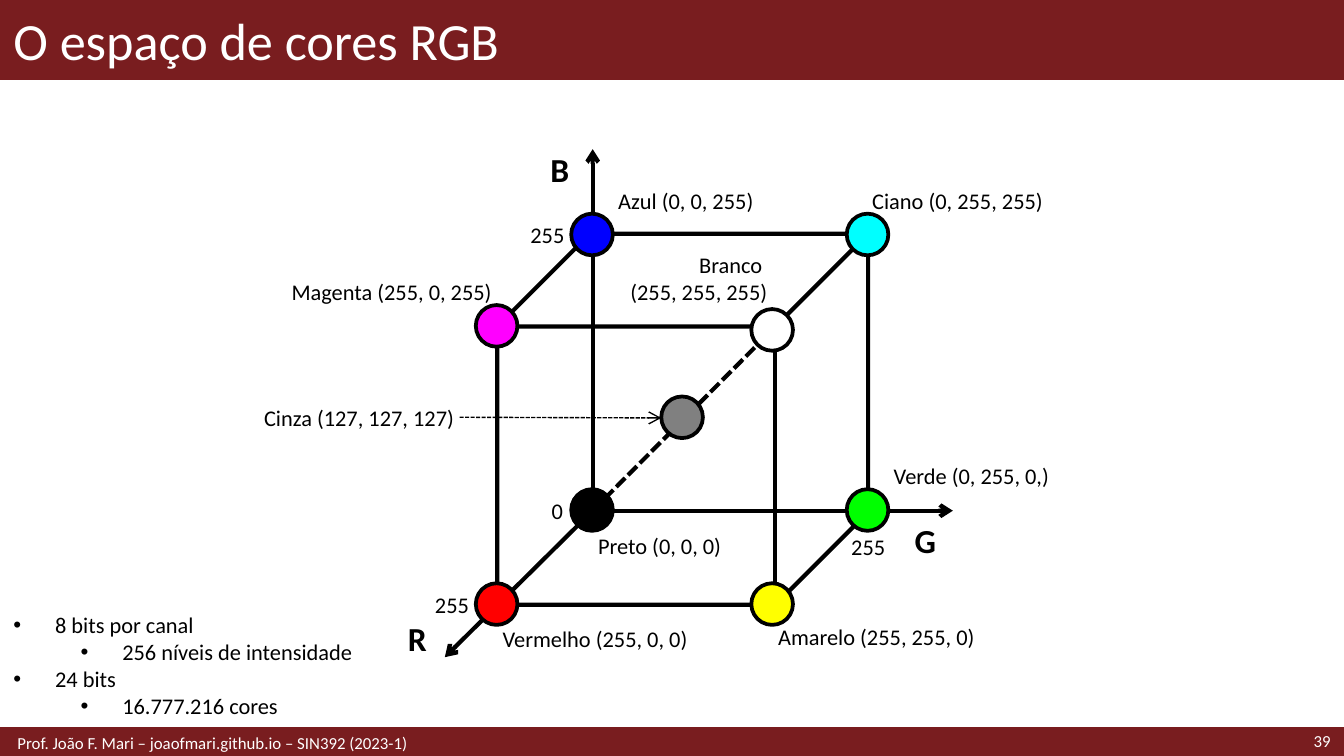
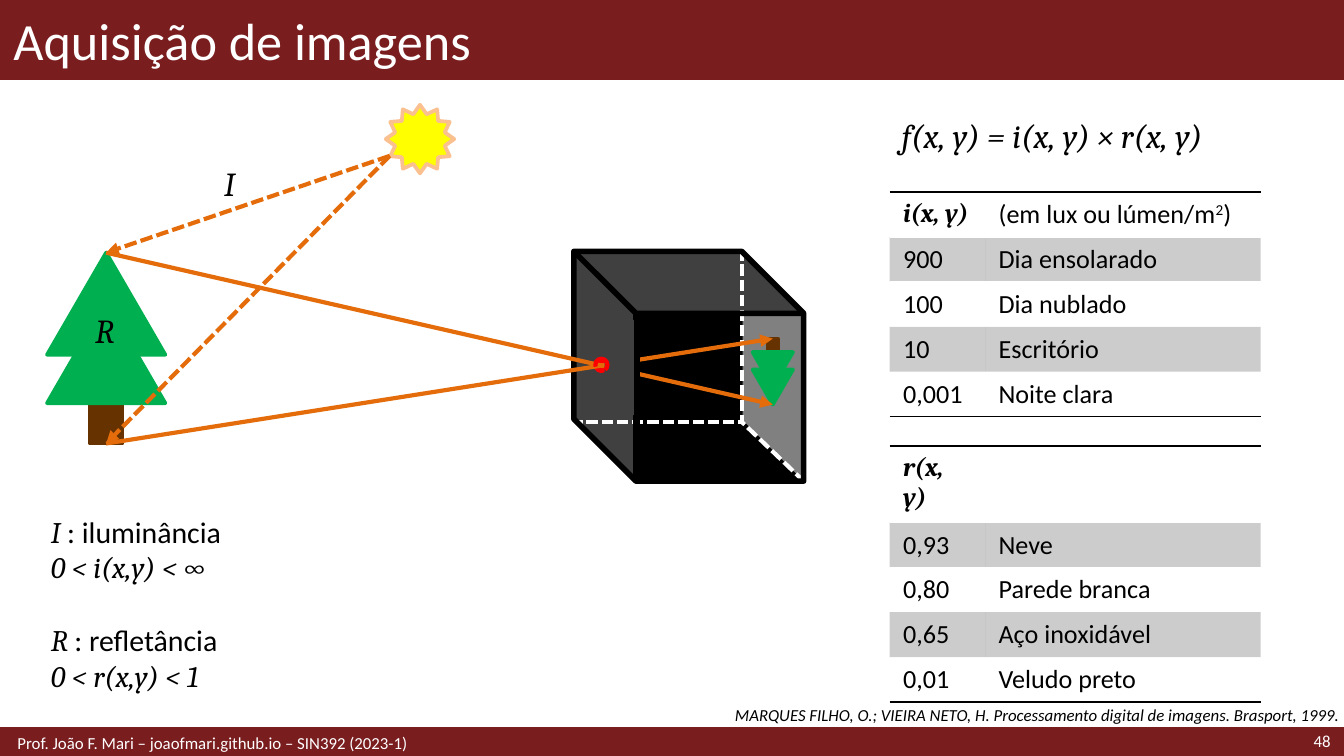
import dataclasses
import typing

import pptx
import pptx.dml.color
import pptx.enum.dml
import pptx.enum.shapes
import pptx.enum.text
import pptx.oxml.ns
import pptx.util
from lxml import etree

Inches, Pt = pptx.util.Inches, pptx.util.Pt
qn = pptx.oxml.ns.qn
SHAPE = pptx.enum.shapes.MSO_SHAPE
ALIGN = pptx.enum.text.PP_ALIGN
ANCHOR = pptx.enum.text.MSO_ANCHOR
AUTO_SIZE = pptx.enum.text.MSO_AUTO_SIZE

# Shared look
WINE, WHITE, BLACK = "791D1F", "FFFFFF", "000000"
ORANGE, GREEN, BROWN, DARK, RED = "E46C0A", "00B050", "663300", "404040", "FF0000"
BODY_FONT, MATH_FONT = "Calibri", "Cambria"
FOOTER = "Prof. João F. Mari – joaofmari.github.io – SIN392 (2023-1)"
NO_STYLE = "{2D5ABB26-0587-4C30-8999-92F81FD0307C}"
DEFAULT_INSETS, TIGHT = (0.1, 0.05, 0.1, 0.05), (0.04, 0, 0.04, 0)


class Run(typing.NamedTuple):
    text: str
    font: str = BODY_FONT
    italic: bool = False
    bold: bool = False
    baseline: int = 0


@dataclasses.dataclass
class Line:
    runs: list
    gap: float = 0


class Label(typing.NamedTuple):
    text: str
    left: float
    top: float
    width: float
    anchor: typing.Any = ANCHOR.BOTTOM
    align: typing.Any = ALIGN.LEFT


class Vertex(typing.NamedTuple):
    colour: str
    left: float
    top: float


def math(text: str, bold: bool = False) -> Run:
    return Run(text, MATH_FONT, True, bold)


def rgb(colour: str):
    return pptx.dml.color.RGBColor.from_string(colour)


# Text
def write(frame, lines: list, *, size: float, colour: str = BLACK, align=ALIGN.LEFT,
          anchor=ANCHOR.TOP, insets=DEFAULT_INSETS, wrap: bool = True) -> None:
    frame.word_wrap = wrap
    frame.auto_size = AUTO_SIZE.NONE if wrap else AUTO_SIZE.SHAPE_TO_FIT_TEXT
    frame.vertical_anchor = anchor
    (frame.margin_left, frame.margin_top,
     frame.margin_right, frame.margin_bottom) = map(Inches, insets)
    for index, line in enumerate(lines):
        paragraph = frame.paragraphs[0] if index == 0 else frame.add_paragraph()
        fill_paragraph(paragraph, line, size=size, colour=colour, align=align)


def fill_paragraph(paragraph, line: Line, *, size: float, colour: str = BLACK,
                   align=ALIGN.LEFT) -> None:
    paragraph.alignment = align
    paragraph.space_before = Pt(line.gap)
    paragraph.font.size = Pt(size)
    for part in line.runs:
        for index, text in enumerate(part.text.split("\n")):
            if index:
                paragraph.add_line_break()
            run = paragraph.add_run()
            run.text = text
            run.font.name, run.font.size = part.font, Pt(size)
            run.font.italic, run.font.bold = part.italic, part.bold
            run.font.color.rgb = rgb(colour)
            if part.baseline:
                run.font._element.set("baseline", str(part.baseline * 1000))


def add_text(slide, lines, left: float, top: float, width: float, height: float, **form):
    box = slide.shapes.add_textbox(*map(Inches, (left, top, width, height)))
    if isinstance(lines, str):
        lines = [Line([Run(lines)])]
    write(box.text_frame, lines, **form)
    return box


# Shapes and lines
def add_shape(slide, kind, left: float, top: float, width: float, height: float, *,
              fill: str = "", line: str = "", weight: float = 2, dashed: bool = False,
              rotation: float = 0, flip: bool = False, adjust: tuple = ()):
    shape = slide.shapes.add_shape(kind, *map(Inches, (left, top, width, height)))
    shape.shadow.inherit = False
    shape.rotation = rotation
    for index, value in enumerate(adjust):
        shape.adjustments[index] = value
    if flip:
        shape._element.spPr.find(qn("a:xfrm")).set("flipH", "1")
    if fill:
        shape.fill.solid()
        shape.fill.fore_color.rgb = rgb(fill)
    else:
        shape.fill.background()
    if line:
        style_line(shape.line, line, weight, dashed)
    else:
        shape.line.fill.background()
    return shape


def style_line(line, colour: str, weight: float, dashed: bool) -> None:
    line.color.rgb = rgb(colour)
    line.width = Pt(weight)
    if dashed:
        line.dash_style = pptx.enum.dml.MSO_LINE.SQUARE_DOT


def add_line(slide, start: tuple, end: tuple, colour: str = BLACK, weight: float = 2.25,
             dashed: bool = False, arrow: str = ""):
    line = slide.shapes.add_connector(pptx.enum.shapes.MSO_CONNECTOR.STRAIGHT,
                                      *map(Inches, (*start, *end)))
    style_line(line.line, colour, weight, dashed)
    properties = line._element.spPr
    if arrow:
        etree.SubElement(properties.find(qn("a:ln")), qn("a:tailEnd"), type=arrow)
    etree.SubElement(properties, qn("a:effectLst"))
    return line


# Page frame
def add_page(deck, layout: int, title: str, number: int):
    slide = deck.slides.add_slide(deck.slide_layouts[layout])
    for depth, (top, height) in enumerate([(0, 0.59), (5.42, 0.21)]):
        band = add_shape(slide, SHAPE.RECTANGLE, 0, top, 10, height,
                         fill=WINE, line=WINE, weight=1 + depth)
        slide.shapes._spTree.insert(2 + depth, band._element)
    place(slide.shapes.title, 0, 0, 10, 0.59)
    write(slide.shapes.title.text_frame, [Line([Run(title)])], size=28, colour=WHITE,
          anchor=ANCHOR.MIDDLE)
    small = dict(size=9, colour=WHITE, anchor=ANCHOR.MIDDLE)
    add_text(slide, str(number), 8.86, 5.41, 1.14, 0.21, align=ALIGN.RIGHT, **small)
    add_text(slide, FOOTER, 0, 5.42, 6.89, 0.21, insets=(0.13, 0.05, 0.1, 0.05), **small)
    return slide


def place(holder, left: float, top: float, width: float, height: float) -> None:
    holder.left, holder.top = Inches(left), Inches(top)
    holder.width, holder.height = Inches(width), Inches(height)


# Slide 1: RGB cube
VERTICES = [
    Vertex("0000FF", 4.25, 1.59), Vertex("00FFFF", 6.3, 1.59),
    Vertex(WHITE, 5.59, 2.3), Vertex("00FF00", 6.3, 3.64),
    Vertex("FFFF00", 5.59, 4.34), Vertex(RED, 3.54, 4.34),
    Vertex("FF00FF", 3.54, 2.27), Vertex(BLACK, 4.25, 3.64),
    Vertex("808080", 4.92, 2.95),
]
COLOUR_LABELS = [
    Label("0", 4.02, 3.65, 0.21, ANCHOR.MIDDLE, ALIGN.RIGHT),
    Label("255", 3.86, 1.6, 0.38, ANCHOR.MIDDLE, ALIGN.RIGHT),
    Label("255", 3.15, 4.35, 0.38, ANCHOR.MIDDLE, ALIGN.RIGHT),
    Label("255", 6.27, 3.92, 0.38, ANCHOR.MIDDLE, ALIGN.CENTER),
    Label("Azul (0, 0, 255)", 4.56, 1.3, 1.18),
    Label("Ciano (0, 255, 255)", 6.45, 1.3, 1.57),
    Label("Magenta (255, 0, 255)", 2.1, 1.98, 1.6, align=ALIGN.RIGHT),
    Label("Branco \n(255, 255, 255)", 4.37, 1.98, 1.38, align=ALIGN.RIGHT),
    Label("Vermelho (255, 0, 0)", 3.7, 4.65, 1.73, ANCHOR.TOP),
    Label("Amarelo (255, 255, 0)", 5.75, 4.64, 1.73, ANCHOR.TOP),
    Label("Verde (0, 255, 0,)", 6.61, 3.35, 1.73),
    Label("Preto (0, 0, 0)", 4.41, 3.96, 1.57, ANCHOR.TOP),
]
BIT_DEPTH = [(0, "8 bits por canal"), (1, "256 níveis de intensidade"),
             (0, "24 bits"), (1, "16.777.216 cores")]


def add_label(slide, label: Label):
    return add_text(slide, label.text, label.left, label.top, label.width, 0.29, size=12,
                    align=label.align, anchor=label.anchor, insets=TIGHT)


def build_rgb_slide(deck) -> None:
    slide = add_page(deck, 1, "O espaço de cores RGB", 39)

    bit_depth = slide.placeholders[1]
    place(bit_depth, 0, 4.5, 4.13, 0.9)
    write(bit_depth.text_frame, [], size=12)
    for index, (level, text) in enumerate(BIT_DEPTH):
        frame = bit_depth.text_frame
        paragraph = frame.add_paragraph() if index else frame.paragraphs[0]
        paragraph.level = level
        properties = paragraph._p.get_or_add_pPr()
        properties.set("marL", str(Inches(0.31 + 0.5 * level)))
        properties.set("indent", str(Inches(-0.31)))
        etree.SubElement(properties, qn("a:buFont"), typeface="Arial")
        etree.SubElement(properties, qn("a:buChar"), char="•")
        fill_paragraph(paragraph, Line([Run(text)]), size=12)

    # Axes and cube
    origin = (4.41, 3.8)
    for end in [(7.09, 3.8), (3.31, 4.89), (4.41, 1.11)]:
        add_line(slide, origin, end, arrow="arrow")
    for axis, left, top in [("R", 2.91, 4.6), ("G", 6.69, 3.87), ("B", 3.97, 1.11)]:
        add_text(slide, [Line([Run(axis, bold=True)])], left, top, 0.39, 0.29, size=18,
                 align=ALIGN.CENTER, anchor=ANCHOR.MIDDLE)
    add_shape(slide, SHAPE.CUBE, 3.7, 1.74, 2.76, 2.76, line=BLACK, weight=2.25)
    add_line(slide, origin, (5.75, 2.45), dashed=True)

    # Colours
    for vertex in VERTICES:
        add_shape(slide, SHAPE.OVAL, vertex.left, vertex.top, 0.31, 0.31,
                  fill=vertex.colour, line=BLACK)
    for label in COLOUR_LABELS:
        add_label(slide, label)
    grey = add_label(slide, Label("Cinza (127, 127, 127)", 1.85, 2.96, 1.57,
                                  ANCHOR.MIDDLE, ALIGN.RIGHT))
    pointer = add_line(slide, (3.42, 3.11), (4.92, 3.11), weight=0.75, dashed=True,
                       arrow="arrow")
    pointer.begin_connect(grey, 3)


# Slide 2: image acquisition
ILLUMINANCE = [
    ([math("i(x, y)", True)],
     [Run("(em lux ou lúmen/m"), Run("2", baseline=30), Run(")")]),
    ("900", "Dia ensolarado"), ("100", "Dia nublado"),
    ("10", "Escritório"), ("0,001", "Noite clara"),
]
REFLECTANCE = [
    ([math("r(x, y)", True)], []),
    ("0,93", "Neve"), ("0,80", "Parede branca"),
    ("0,65", "Aço inoxidável"), ("0,01", "Veludo preto"),
]


def add_border(cell, side: str, colour: str, weight: float, position: int) -> None:
    border = etree.Element(qn(f"a:{side}"), w=str(Pt(weight)))
    paint = etree.SubElement(border, qn("a:solidFill"))
    etree.SubElement(paint, qn("a:srgbClr"), val=colour)
    cell._tc.get_or_add_tcPr().insert(position, border)


def add_values(slide, rows: list, top: float) -> None:
    table = slide.shapes.add_table(len(rows), 2, Inches(6.62), Inches(top),
                                   Inches(2.76), Inches(1.67)).table
    table.first_row = table.horz_banding = False
    table._tbl.tblPr.find(qn("a:tableStyleId")).text = NO_STYLE
    for column, width in zip(table.columns, (0.71, 2.05)):
        column.width = Inches(width)
    for r, row in enumerate(rows):
        for c, content in enumerate(row):
            cell = table.cell(r, c)
            runs = [Run(content)] if isinstance(content, str) else content
            fill_paragraph(cell.text_frame.paragraphs[0], Line(runs), size=14)
            if r % 2:
                cell.fill.solid()
                cell.fill.fore_color.rgb = rgb(BLACK)
                shade = cell._tc.tcPr.find(".//" + qn("a:srgbClr"))
                etree.SubElement(shade, qn("a:alpha"), val="20000")
            else:
                cell.fill.background()
            if r == 0:
                add_border(cell, "lnT", BLACK, 1, 0)
                add_border(cell, "lnB", WHITE, 0.5, 1)
            elif r == 1:
                add_border(cell, "lnT", WHITE, 0.5, 0)
            elif r == len(rows) - 1:
                add_border(cell, "lnB", BLACK, 1, 0)


def build_acquisition_slide(deck) -> None:
    slide = add_page(deck, 5, "Aquisição de imagens", 48)

    # Camera walls
    add_shape(slide, SHAPE.RECTANGLE, 4.74, 2.33, 1.25, 1.26, fill=BLACK)
    for left, colour in [(4.9, "808080"), (3.64, DARK)]:
        add_shape(slide, SHAPE.PARALLELOGRAM, left, 2.5, 1.71, 0.46, fill=colour,
                  rotation=90, adjust=(1,))
    add_shape(slide, SHAPE.PARALLELOGRAM, 4.27, 1.87, 1.71, 0.46, fill=DARK, flip=True,
              adjust=(1,))

    # Projected tree, upside down
    add_shape(slide, SHAPE.RECTANGLE, 5.71, 2.52, 0.08, 0.15, fill=BROWN, line=BROWN)
    for top in (2.75, 2.62):
        add_shape(slide, SHAPE.ISOSCELES_TRIANGLE, 5.6, top, 0.3, 0.26, fill=GREEN,
                  line=GREEN, rotation=180)
    add_shape(slide, SHAPE.RECTANGLE, 4.27, 1.87, 1.25, 1.27, line=WHITE, dashed=True)
    add_line(slide, (5.99, 3.59), (5.52, 3.14), WHITE, dashed=True)

    # Real tree
    trunk = add_shape(slide, SHAPE.RECTANGLE, 0.67, 2.88, 0.24, 0.42, fill=BROWN, line=BROWN)
    crown, _ = [add_shape(slide, SHAPE.ISOSCELES_TRIANGLE, 0.35, top, 0.88, 0.76,
                          fill=GREEN, line=GREEN) for top in (1.88, 2.24)]

    # Camera edges, pinhole and sun
    add_shape(slide, SHAPE.CUBE, 4.27, 1.87, 1.71, 1.71, line=BLACK, weight=3, flip=True,
              adjust=(0.27,))
    pinhole = (4.43, 2.67, 0.09, 0.09)
    add_shape(slide, SHAPE.OVAL, *pinhole, fill=RED, line=RED, weight=2.25)
    add_shape(slide, SHAPE.STAR_12_POINT, 2.87, 0.78, 0.51, 0.51, fill="FFFF00",
              line="FAC090")

    # Light rays
    tree_ends = [(crown, 0, (0.79, 1.88), (5.75, 3.01)), (trunk, 2, (0.79, 3.3), (5.75, 2.52))]
    for part, side, point, _ in tree_ends:
        ray = add_line(slide, (2.9, 1.16), point, ORANGE, dashed=True, arrow="triangle")
        ray.end_connect(part, side)
    for part, side, point, image_point in tree_ends:
        ray = add_line(slide, point, image_point, ORANGE, arrow="triangle")
        ray.begin_connect(part, side)
    add_shape(slide, SHAPE.RECTANGLE, 4.5, 2.38, 0.23, 0.71, fill=DARK)
    add_line(slide, (4.74, 2.33), (4.74, 3.59), weight=3)
    # Arc angles in degrees, scaled to adjustment units
    add_shape(slide, SHAPE.ARC, *pinhole, line=RED, weight=2.25,
              adjust=(162.74 * 0.6, 52.87 * 0.6))

    # Formula, tables and reference
    add_text(slide, [Line([math("f(x, y) = i(x, y) × r(x, y)")])], 6.61, 0.81, 2.76, 0.4,
             size=18, wrap=False)
    add_values(slide, ILLUMINANCE, 1.43)
    add_values(slide, REFLECTANCE, 3.32)
    reference = ("MARQUES FILHO, O.; VIEIRA NETO, H. "
                 "Processamento digital de imagens. Brasport, 1999.")
    add_text(slide, [Line([Run(reference, italic=True)])], 5.22, 5.2, 4.78, 0.23, size=9,
             align=ALIGN.RIGHT, insets=(0.04,) * 4)

    # Legend
    legend = [Line([math("I "), Run(": iluminância")]), Line([math("0 < i(x,y) < ∞")]),
              Line([math("R "), Run(": refletância")], gap=19.5),
              Line([math("0 < r(x,y) < 1")])]
    add_text(slide, legend, 0.28, 3.77, 1.57, 1.45, size=16, wrap=False)
    for symbol, left, top, width in [("I", 1.57, 1.16, 0.28), ("R", 0.61, 2.26, 0.36)]:
        add_text(slide, [Line([math(symbol)])], left, top, width, 0.4, size=18, wrap=False)


def main() -> None:
    deck = pptx.Presentation()
    deck.slide_width = Inches(10)
    deck.slide_height = deck.slide_width * 9 // 16
    build_rgb_slide(deck)
    build_acquisition_slide(deck)
    deck.save("out.pptx")


if __name__ == "__main__":
    main()
